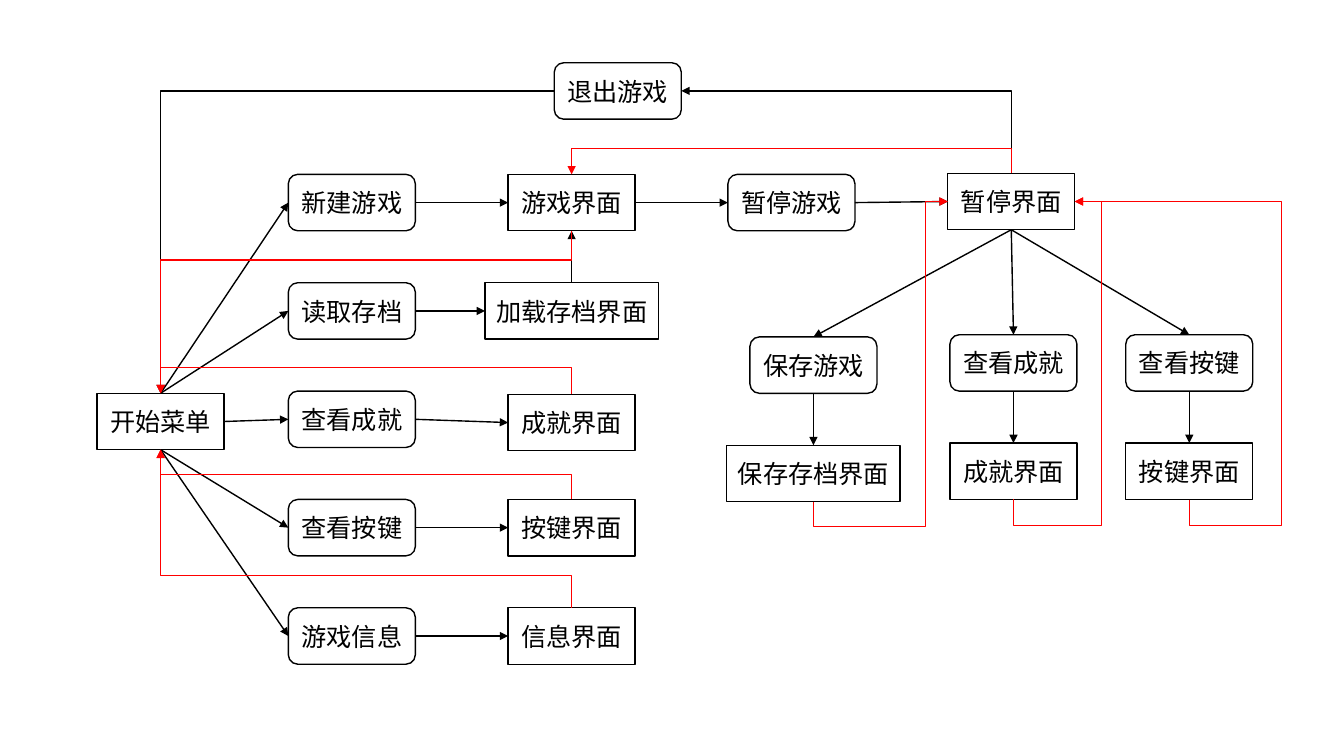
from math import atan2, cos, degrees, hypot, radians, sin

from lxml.etree import SubElement
from pptx import Presentation
from pptx.dml.color import RGBColor
from pptx.enum.shapes import MSO_CONNECTOR as Link, MSO_SHAPE as Shape
from pptx.enum.text import MSO_ANCHOR, PP_ALIGN
from pptx.oxml.ns import qn
from pptx.util import Inches, Pt

BLACK = RGBColor(0x00, 0x00, 0x00)
WHITE = RGBColor(0xFF, 0xFF, 0xFF)
RED = RGBColor(0xFF, 0x00, 0x00)
FONT = "Noto Sans CJK SC"

SCREENS = {
    "start": ("开始菜单", -0.87, 2.02),
    "game": ("游戏界面", 1, 0),
    "load": ("加载存档界面", 1, 1),
    "awards": ("成就界面", 1, 2.03),
    "keys": ("按键界面", 1, 3),
    "info": ("信息界面", 1, 4),
    "pause": ("暂停界面", 3, -0.01),
    "save": ("保存存档界面", 2.1, 2.5),
    "pause awards": ("成就界面", 3.01, 2.48),
    "pause keys": ("按键界面", 3.81, 2.48),
}
ACTIONS = {
    "do new": ("新建游戏", 0, 0),
    "do load": ("读取存档", 0, 1),
    "do awards": ("查看成就", 0, 2),
    "do keys": ("查看按键", 0, 3),
    "do info": ("游戏信息", 0, 4),
    "do pause": ("暂停游戏", 2, 0),
    "do save": ("保存游戏", 2.1, 1.5),
    "do pause awards": ("查看成就", 3.01, 1.48),
    "do pause keys": ("查看按键", 3.81, 1.48),
    "do exit": ("退出游戏", 1.21, -1.03),
}
ARROWS = [
    ("start", "top", "do new", "left"),
    ("start", "top", "do load", "left"),
    ("start", "right", "do awards", "left"),
    ("start", "bottom", "do keys", "left"),
    ("start", "bottom", "do info", "left"),
    ("do new", "right", "game", "left"),
    ("do load", "right", "load", "left"),
    ("do awards", "right", "awards", "left"),
    ("do keys", "right", "keys", "left"),
    ("do info", "right", "info", "left"),
    ("game", "right", "do pause", "left"),
    ("do pause", "right", "pause", "left"),
    ("pause", "bottom", "do save", "top"),
    ("do save", "bottom", "save", "top"),
    ("pause", "bottom", "do pause awards", "top"),
    ("do pause awards", "bottom", "pause awards", "top"),
    ("pause", "bottom", "do pause keys", "top"),
    ("do pause keys", "bottom", "pause keys", "top"),
    ("load", "top", "game", "bottom"),
]
EXITS = [
    ("pause", "top", "do exit", "right"),
    ("do exit", "left", "start", "top"),
]
RETURNS = [
    ("game", "bottom", "start", "top", 0.79),
    ("pause", "top", "game", "top", -0.24),
    ("save", "bottom", "pause", "left", 3.25, 2.61),
    ("pause awards", "bottom", "pause", "right", 3.24, 3.41),
    ("pause keys", "bottom", "pause", "right", 3.24, 4.23),
    ("awards", "top", "start", "top", 1.78),
    ("keys", "top", "start", "bottom", 2.77),
    ("info", "top", "start", "bottom", 3.7),
]

NODE_H = 0.56
SIDES = {"left": (-0.5, 0.5), "right": (0.5, 0.5), "top": (0, 0), "bottom": (0, 1)}


def col_x(col):
    return 3.49 + 2.18 * col


def row_y(row):
    return 1.73 + 1.075 * row


def node_width(text):
    return 1.26 if len(text) == 4 else 1.72


def add_node(slide, kind, text, col, row):
    w = node_width(text)
    s = slide.shapes.add_shape(kind, Inches(col_x(col) - w / 2), Inches(row_y(row)),
                               Inches(w), Inches(NODE_H))
    s.shadow.inherit = False
    s.fill.solid()
    s.fill.fore_color.rgb = WHITE
    s.line.color.rgb = BLACK
    s.line.width = Pt(1)
    tf = s.text_frame
    tf.word_wrap = False
    tf.vertical_anchor = MSO_ANCHOR.MIDDLE
    p = tf.paragraphs[0]
    p.text = text
    p.alignment = PP_ALIGN.CENTER
    p.font.size = Pt(18)
    p.font.color.rgb = BLACK
    p.font.name = FONT
    SubElement(p.font._element, qn("a:ea"), typeface=FONT)


def anchor(name, side):
    text, col, row = {**SCREENS, **ACTIONS}[name]
    dx, dy = SIDES[side]
    return col_x(col) + dx * node_width(text), row_y(row) + dy * NODE_H


def add_line(slide, kind, begin, end, color):
    c = slide.shapes.add_connector(kind, *map(Inches, begin + end))
    c.line.color.rgb = color
    c.line.width = Pt(1)
    sp = c.element.spPr
    SubElement(sp.find(qn("a:ln")), qn("a:tailEnd"), type="triangle")
    SubElement(sp, qn("a:effectLst"))
    return sp


def add_bent(slide, color, source, side, target, target_side, *lanes):
    """Draw an elbow arrow, turned to leave along its first leg."""
    begin, end = anchor(source, side), anchor(target, target_side)
    if not lanes:
        bends = [(begin[0], end[1]) if side in ("top", "bottom") else (end[0], begin[1])]
    else:
        lane_y = row_y(lanes[0])
        lane_x = col_x(lanes[1]) if lanes[1:] else end[0]
        bends = [(begin[0], lane_y), (lane_x, lane_y)]
    turn = round(degrees(atan2(bends[0][1] - begin[1], bends[0][0] - begin[0]))) % 360
    c, s = round(cos(radians(turn))), round(sin(radians(turn)))

    def local(point):
        dx, dy = point[0] - begin[0], point[1] - begin[1]
        return dx * c + dy * s, dy * c - dx * s

    along, across = local(end)
    mid_x, mid_y = (begin[0] + end[0]) / 2, (begin[1] + end[1]) / 2
    w, h = abs(along), abs(across)
    sp = add_line(slide, Link.ELBOW, (mid_x - w / 2, mid_y - h / 2),
                  (mid_x + w / 2, mid_y + h / 2), color)
    xfrm = sp.find(qn("a:xfrm"))
    xfrm.set("rot", str(turn * 60000))
    xfrm.set("flipH", str(int(along < 0)))
    xfrm.set("flipV", str(int(across < 0)))
    geom = sp.find(qn("a:prstGeom"))
    geom.set("prst", f"bentConnector{len(lanes) + 2}")
    shares = [local(bends[0])[0] / along, local(bends[-1])[1] / across]
    for i, share in enumerate(shares[:len(lanes)], 1):
        SubElement(geom.find(qn("a:avLst")), qn("a:gd"), name=f"adj{i}",
                   fmla=f"val {round(share * 100000)}")


def main():
    prs = Presentation()
    prs.slide_width, prs.slide_height = Inches(13.33), Inches(7.5)
    slide = prs.slides.add_slide(prs.slide_layouts[6])
    for kind, nodes in ((Shape.FLOWCHART_PROCESS, SCREENS),
                        (Shape.FLOWCHART_ALTERNATE_PROCESS, ACTIONS)):
        for node in nodes.values():
            add_node(slide, kind, *node)
    for source, side, target, target_side in ARROWS:
        add_line(slide, Link.STRAIGHT, anchor(source, side), anchor(target, target_side), BLACK)
    for color, routes in ((BLACK, EXITS), (RED, RETURNS)):
        for route in routes:
            add_bent(slide, color, *route)
    prs.save("out.pptx")


if __name__ == "__main__":
    main()
